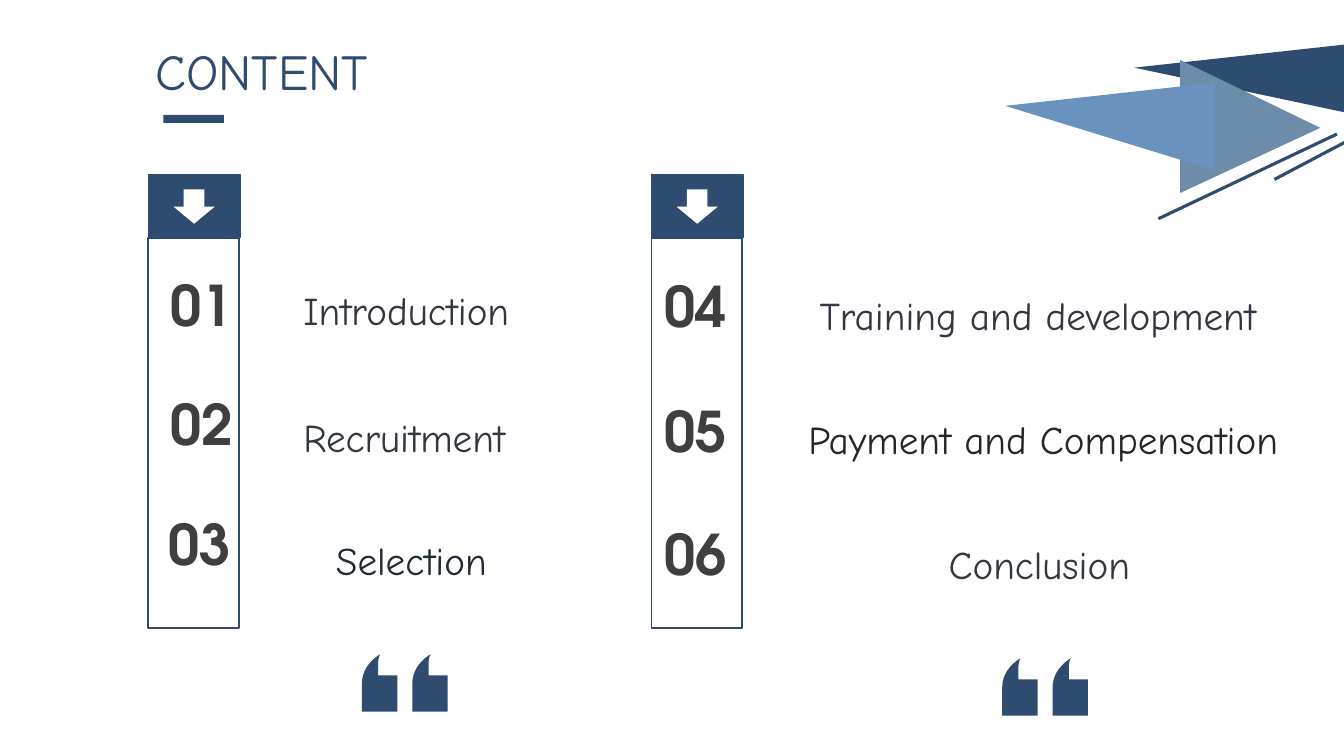
"""Build a contents slide with two numbered columns of topics."""
import pptx
import pptx.util
import pptx.dml.color
import pptx.enum.shapes
import pptx.enum.text
import pptx.oxml

Inches = pptx.util.Inches
RGBColor = pptx.dml.color.RGBColor
Shape = pptx.enum.shapes.MSO_SHAPE
Align = pptx.enum.text.PP_ALIGN

NAVY = RGBColor(0x2E, 0x4C, 0x70)
SLATE = RGBColor(0x6D, 0x8C, 0xAA)
SKY = RGBColor(0x69, 0x92, 0xBE)
WHITE = RGBColor(0xFF, 0xFF, 0xFF)
NUMBER_GREY = RGBColor(0x3F, 0x3F, 0x3F)
TOPIC_GREY = RGBColor(0x33, 0x37, 0x40)
DARK_GREY = RGBColor(0x26, 0x26, 0x26)
INK = RGBColor(0x22, 0x2A, 0x35)

TEXT_FONT = "Comic Neue"
NUMBER_FONT = "TeX Gyre Adventor"

COLUMN_LEFTS = (1.47, 6.46)
NUMBERS = (
    ("01", 1.31, 2.63), ("02", 1.31, 3.82), ("03", 1.29, 5.01),
    ("04", 6.21, 2.64), ("05", 6.21, 3.88), ("06", 6.21, 5.11),
)
TOPICS = (
    ("Introduction", 2.91, 2.7, 3.5, TOPIC_GREY, Align.LEFT),
    ("Recruitment", 2.91, 3.96, 3.5, TOPIC_GREY, Align.LEFT),
    ("Selection", 1.31, 5.18, 5.54, INK, Align.CENTER),
    ("Training and development", 8.03, 2.75, 5.2, TOPIC_GREY, Align.LEFT),
    ("Payment and Compensation", 7.92, 3.98, 5.4, DARK_GREY, Align.LEFT),
    ("Conclusion", 9.31, 5.22, 4, TOPIC_GREY, Align.LEFT),
)
TRIANGLES = (
    (12.6, 0.81, 0.87, 2.7, 270, 0.66, NAVY),
    (12.4, 1.255, 1.32, 1.39, 90, 0.51, SLATE),
    (11.01, 1.255, 0.87, 2.08, 270, 0.736, SKY),
)
STROKES = ((13.26, 1.33, 11.49, 2.17), (13.38, 1.39, 12.64, 1.78))
QUOTES = ((3.59, 6.49), (9.94, 6.53))
QUOTE_GAP = 0.5


def inches(*lengths):
    """Convert several numbers to lengths."""
    return [Inches(length) for length in lengths]


def paint(shape, fill=None, line=None):
    """Set the fill and outline of a shape and remove its shadow."""
    shape.shadow.inherit = False
    if fill is None:
        shape.fill.background()
    else:
        shape.fill.solid()
        shape.fill.fore_color.rgb = fill
    if line is None:
        shape.line.fill.background()
    else:
        shape.line.color.rgb = line
        shape.line.width = pptx.util.Pt(1)


def add_block(slide, kind, place, fill=None, line=None):
    """Add a preset shape at left, top, width, height."""
    block = slide.shapes.add_shape(kind, *inches(*place))
    paint(block, fill, line)
    return block


def write(box, text, size, font, color, align=Align.LEFT, spacing=1.0, bold=False):
    """Fill a text holder with one formatted paragraph."""
    frame = box.text_frame
    frame.word_wrap = True
    frame.auto_size = pptx.enum.text.MSO_AUTO_SIZE.NONE
    frame.vertical_anchor = pptx.enum.text.MSO_ANCHOR.TOP
    frame.text = text
    para = frame.paragraphs[0]
    para.alignment = align
    para.line_spacing = spacing
    para.font.size = pptx.util.Pt(size)
    para.font.name = font
    para.font.bold = bold
    para.font.color.rgb = color


def add_title(slide):
    """Place the title and the bar below it."""
    title = slide.shapes.title
    title.left, title.top, title.width, title.height = inches(1.44, 0.23, 2.9, 0.71)
    write(title, "CONTENT", 36, TEXT_FONT, NAVY, spacing=1.2)
    add_block(slide, Shape.RECTANGLE, (1.62, 1.14, 0.6, 0.08), NAVY)


def add_column(slide, left):
    """Add an outlined column with an arrow in its header."""
    add_block(slide, Shape.RECTANGLE, (left, 2.36, 0.9, 3.87), line=NAVY)
    add_block(slide, Shape.RECTANGLE, (left, 1.73, 0.91, 0.63), NAVY, NAVY)
    add_block(slide, Shape.DOWN_ARROW, (left + 0.25, 1.88, 0.41, 0.34), WHITE)


def add_triangle(slide, center_x, center_y, width, height, rotation, apex, color):
    """Add a rotated triangle around its centre."""
    place = (center_x - width / 2, center_y - height / 2, width, height)
    triangle = add_block(slide, Shape.ISOSCELES_TRIANGLE, place, color)
    triangle.adjustments[0] = apex
    triangle.rotation = rotation


def add_stroke(slide, *ends):
    """Add a straight navy line."""
    straight = pptx.enum.shapes.MSO_CONNECTOR.STRAIGHT
    stroke = slide.shapes.add_connector(straight, *inches(*ends))
    stroke.line.color.rgb = NAVY
    stroke.line.width = pptx.util.Pt(2.25)
    effects = pptx.oxml.parse_xml(
        '<a:effectLst xmlns:a="http://schemas.openxmlformats.org/drawingml/2006/main"/>')
    stroke.element.spPr.append(effects)


def curve(start, pull, push, end, steps=12):
    """Return points along a cubic curve after its start."""
    points = []
    for step in range(1, steps + 1):
        t = step / steps
        weights = ((1 - t) ** 3, 3 * t * (1 - t) ** 2, 3 * t * t * (1 - t), t ** 3)
        points.append(tuple(
            sum(weight * value for weight, value in zip(weights, axis))
            for axis in zip(start, pull, push, end)))
    return points


def add_quote_mark(slide, left, top):
    """Draw one mark with a curved tail above a square."""
    start, tip, shoulder = (0.16, 0.13), (0.18, 0), (0, 0.29)
    points = curve(start, (0.16, 0.08), (0.16, 0.04), tip)
    points += curve(tip, (0.07, 0.07), (0, 0.17), shoulder)
    points += [(0, 0.57), (0.35, 0.57), (0.35, 0.21), (0.16, 0.21)]
    builder = slide.shapes.build_freeform(*inches(*start))
    builder.add_line_segments([inches(*point) for point in points], close=True)
    paint(builder.convert_to_shape(*inches(left, top)), NAVY)


def main():
    """Build and save the deck."""
    deck = pptx.Presentation()
    deck.slide_width, deck.slide_height = inches(13.33, 7.5)
    slide = deck.slides.add_slide(deck.slide_layouts[5])
    add_title(slide)
    for left in COLUMN_LEFTS:
        add_column(slide, left)
    for text, left, top in NUMBERS:
        box = slide.shapes.add_textbox(*inches(left, top, 1.38, 0.77))
        write(box, text, 40, NUMBER_FONT, NUMBER_GREY, Align.CENTER, bold=True)
    for text, left, top, width, color, align in TOPICS:
        box = slide.shapes.add_textbox(*inches(left, top, width, 0.57))
        write(box, text, 28, TEXT_FONT, color, align, 1.2)
    for triangle in TRIANGLES:
        add_triangle(slide, *triangle)
    for ends in STROKES:
        add_stroke(slide, *ends)
    for left, top in QUOTES:
        for offset in (0, QUOTE_GAP):
            add_quote_mark(slide, left + offset, top)
    deck.save("out.pptx")


if __name__ == "__main__":
    main()
